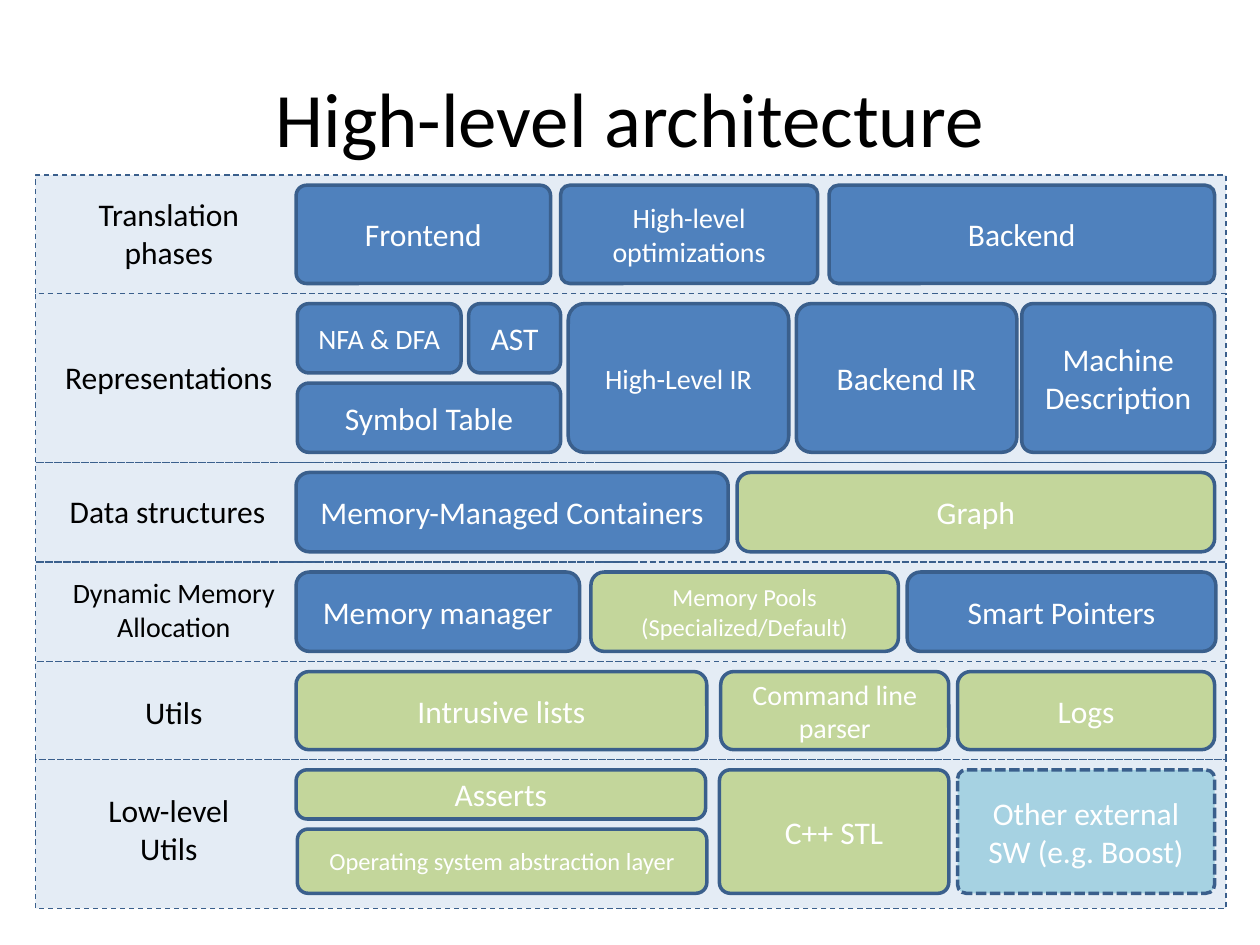
from dataclasses import dataclass

import pptx
import pptx.util
import pptx.dml.color
import pptx.enum.dml
import pptx.enum.shapes
import pptx.enum.text
import pptx.oxml
import pptx.oxml.ns

Inches = pptx.util.Inches
Dash = pptx.enum.dml.MSO_LINE
Shape = pptx.enum.shapes.MSO_SHAPE


@dataclass(frozen=True)
class Theme:
    font: str = "Calibri"
    ink: str = "000000"
    light: str = "FFFFFF"
    blue: str = "4F81BD"
    green: str = "C3D69B"
    teal: str = "4BACC6"
    edge: str = "3A5F8C"
    title: int = 44
    normal: int = 18
    small: int = 16
    tiny: int = 14


@dataclass(frozen=True)
class Block:
    text: str
    left: float
    width: float
    color: str = Theme.blue
    size: int = Theme.normal
    top: float = 0.08
    height: float = 0
    corner: float = 0.167
    alpha: int = 100
    dash: object = None


@dataclass(frozen=True)
class Label:
    text: str
    left: float
    top: float
    width: float
    height: float
    size: int = Theme.normal


@dataclass(frozen=True)
class Layer:
    height: float
    label: Label
    blocks: tuple


theme = Theme()
PAD = 0.08

LAYERS = (
    Layer(0.94, Label("Translation phases", 0.31, 0.11, 1.5, 0.71), (
        Block("Frontend", 2.07, 2.02, corner=0.105),
        Block("High-level optimizations", 4.17, 2.04, size=theme.small, corner=0.092),
        Block("Backend", 6.3, 3.06, corner=0.093),
    )),
    Layer(1.34, Label("Representations", 0.08, 0.46, 1.96, 0.4), (
        Block("NFA & DFA", 2.08, 1.3, size=theme.small, height=0.55),
        Block("AST", 3.44, 0.73, height=0.55),
        Block("Symbol Table", 2.08, 2.09, top=0.71, height=0.55),
        Block("High-Level IR", 4.23, 1.75, size=theme.small, corner=0.109),
        Block("Backend IR", 6.04, 1.75, corner=0.101),
        Block("Machine Description", 7.83, 1.53, corner=0.076),
    )),
    Layer(0.79, Label("Data structures", 0.07, 0.19, 1.96, 0.4), (
        Block("Memory-Managed Containers", 2.07, 3.43),
        Block("Graph", 5.57, 3.79, theme.green),
    )),
    Layer(0.79, Label("Dynamic Memory Allocation", 0, 0.06, 2.2, 0.64, theme.small), (
        Block("Memory manager", 2.07, 2.25),
        Block("Memory Pools (Specialized/Default)", 4.41, 2.44, theme.green, theme.tiny),
        Block("Smart Pointers", 6.92, 2.45),
    )),
    Layer(0.78, Label("Utils", 0, 0.2, 2.2, 0.4), (
        Block("Intrusive lists", 2.07, 3.26, theme.green),
        Block("Command line parser", 5.44, 1.81, theme.green, theme.small),
        Block("Logs", 7.32, 2.04, theme.green),
    )),
    Layer(1.18, Label("Low-level Utils", 0.35, 0.2, 1.42, 0.71), (
        Block("Asserts", 2.07, 3.25, theme.green, height=0.39, corner=0.224),
        Block("Operating system abstraction layer", 2.08, 3.25, theme.green,
              theme.tiny, top=0.55, height=0.51),
        Block("C++ STL", 5.43, 1.82, theme.green, height=0.98, corner=0.087),
        Block("Other external SW (e.g. Boost)", 7.32, 2.04, theme.teal,
              height=0.98, corner=0.07, alpha=40, dash=Dash.SQUARE_DOT),
    )),
)


def rgb(color):
    return pptx.dml.color.RGBColor.from_string(color)


def write_text(box, text, size=theme.normal, color=theme.ink,
               anchor=pptx.enum.text.MSO_ANCHOR.TOP):
    frame = box.text_frame
    frame.word_wrap = True
    frame.vertical_anchor = anchor
    para = frame.paragraphs[0]
    para.alignment = pptx.enum.text.PP_ALIGN.CENTER
    span = para.add_run()
    span.text = text
    span.font.name = theme.font
    span.font.size = pptx.util.Pt(size)
    span.font.color.rgb = rgb(color)


def add_box(page, kind, left, top, width, height, color, alpha=100, line=2, dash=None):
    box = page.shapes.add_shape(kind, Inches(left), Inches(top), Inches(width), Inches(height))
    box.shadow.inherit = False
    box.fill.solid()
    box.fill.fore_color.rgb = rgb(color)
    if alpha < 100:
        tint = box.fill._xPr.find(".//" + pptx.oxml.ns.qn("a:srgbClr"))
        opacity = pptx.oxml.parse_xml(
            f'<a:alpha {pptx.oxml.ns.nsdecls("a")} val="{alpha * 1000}"/>')
        tint.append(opacity)
    box.line.color.rgb = rgb(theme.edge)
    box.line.width = pptx.util.Pt(line)
    if dash is not None:
        box.line.dash_style = dash
    return box


def add_title(page, text, left, top, width, height):
    title = page.shapes.title
    title.left, title.top = Inches(left), Inches(top)
    title.width, title.height = Inches(width), Inches(height)
    write_text(title, text, theme.title, anchor=pptx.enum.text.MSO_ANCHOR.MIDDLE)


def add_layer(page, layer, left, top, width):
    add_box(page, Shape.RECTANGLE, left, top, width, layer.height,
            theme.blue, alpha=15, line=0.75, dash=Dash.DASH)
    label = layer.label
    caption = page.shapes.add_textbox(Inches(left + label.left), Inches(top + label.top),
                                      Inches(label.width), Inches(label.height))
    write_text(caption, label.text, label.size)
    caption.text_frame.auto_size = pptx.enum.text.MSO_AUTO_SIZE.SHAPE_TO_FIT_TEXT
    for block in layer.blocks:
        box = add_box(page, Shape.ROUNDED_RECTANGLE, left + block.left, top + block.top,
                      block.width, block.height or layer.height - 2 * PAD,
                      block.color, block.alpha, dash=block.dash)
        box.adjustments[0] = block.corner
        write_text(box, block.text, block.size, theme.light,
                   pptx.enum.text.MSO_ANCHOR.MIDDLE)


def add_stack(page, layers, left, top, width):
    for layer in layers:
        add_layer(page, layer, left, top, width)
        top += layer.height


deck = pptx.Presentation()
deck.slide_width, deck.slide_height = Inches(10), Inches(7.5)
page = deck.slides.add_slide(deck.slide_layouts.get_by_name("Title Only"))
add_title(page, "High-level architecture", 0.5, 0.3, 9, 1.25)
add_stack(page, LAYERS, 0.28, 1.39, 9.45)
deck.save("out.pptx")
